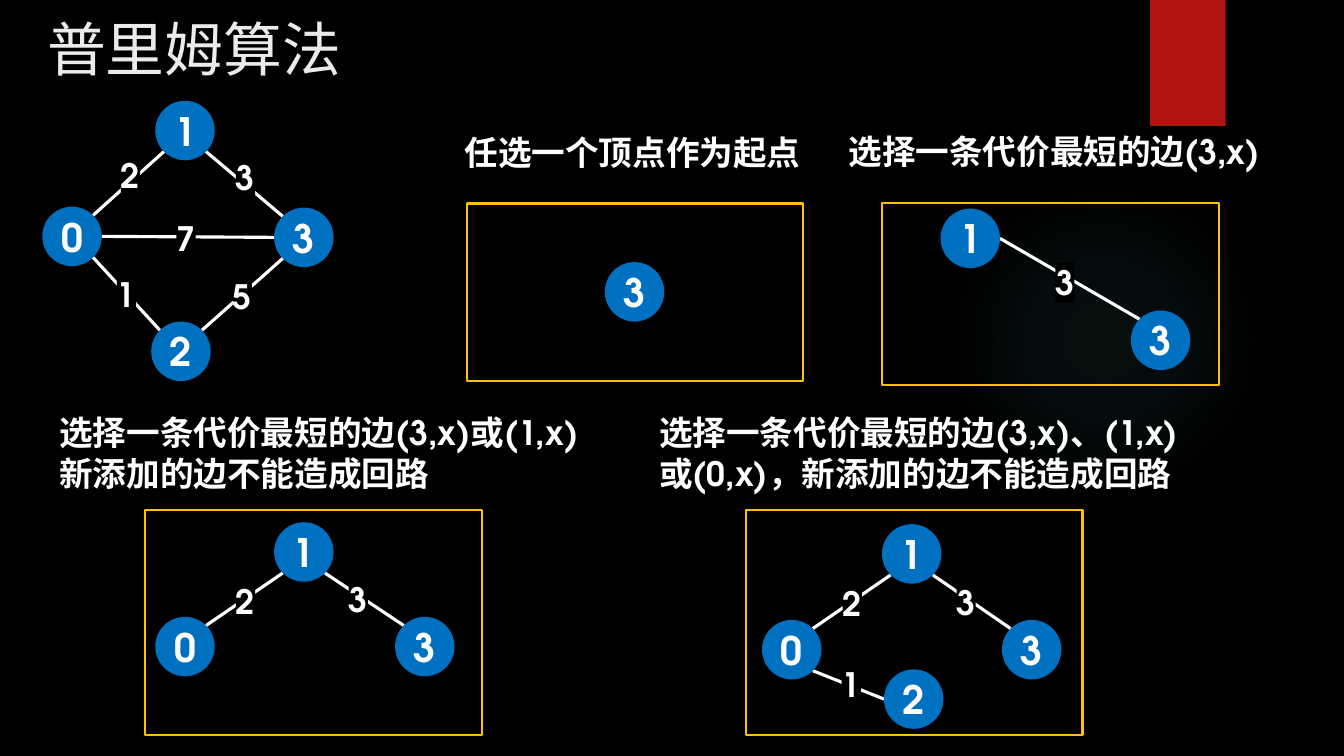
from dataclasses import dataclass
from enum import Enum

from lxml.etree import SubElement
from pptx import Presentation
from pptx.dml.color import RGBColor
from pptx.enum.shapes import MSO_CONNECTOR as Line, MSO_SHAPE as Preset
from pptx.enum.text import MSO_ANCHOR as Anchor, MSO_AUTO_SIZE as Fit, PP_ALIGN as Align
from pptx.oxml import parse_xml
from pptx.oxml.ns import nsdecls, qn
from pptx.shapes.autoshape import Shape
from pptx.slide import Slide
from pptx.util import Pt

BLACK = RGBColor(0x00, 0x00, 0x00)
WHITE = RGBColor(0xFF, 0xFF, 0xFF)
PALE = RGBColor(0xEB, 0xEB, 0xEB)
BLUE = RGBColor(0x00, 0x70, 0xC0)
GOLD = RGBColor(0xFF, 0xC0, 0x00)
RED = RGBColor(0xB0, 0x15, 0x13)
TEAL = RGBColor(0x50, 0xB9, 0xC1)

BODY_FONT = "TeX Gyre Adventor"
TITLE_FONT = "Times New Roman"
NODE_SIZE = 42.5
LABEL_SIZE = (13.7, 28.8)
FRAME_WIDTH = 240.5
DIAGONAL = 0.5 ** 0.5

Box = tuple[float, float, float, float]
Point = tuple[float, float]


class Site(Enum):
    """Place on a node's rim, as a step from its centre in radii."""
    LEFT = (-1, 0)
    RIGHT = (1, 0)
    TOP_LEFT = (-DIAGONAL, -DIAGONAL)
    TOP_RIGHT = (DIAGONAL, -DIAGONAL)
    BOTTOM_LEFT = (-DIAGONAL, DIAGONAL)
    BOTTOM_RIGHT = (DIAGONAL, DIAGONAL)


@dataclass
class Edge:
    start: str
    start_site: Site
    end: str
    end_site: Site
    cost: str
    label_at: Point


@dataclass
class Step:
    nodes: dict[str, Point]
    edges: tuple[Edge, ...] = ()
    frame: Box | None = None
    caption: tuple[str, ...] = ()
    caption_box: Box | None = None


def down_left(start: str, end: str, cost: str, label_at: Point) -> Edge:
    return Edge(start, Site.BOTTOM_LEFT, end, Site.TOP_RIGHT, cost, label_at)


def down_right(start: str, end: str, cost: str, label_at: Point) -> Edge:
    return Edge(start, Site.BOTTOM_RIGHT, end, Site.TOP_LEFT, cost, label_at)


STEPS = (
    Step({"1": (110.9, 72), "2": (108, 229.7), "0": (30.2, 147.6), "3": (195.8, 148.3)},
         (down_right("1", "3", "3", (168.5, 112.3)),
          down_left("3", "2", "5", (166.3, 197.3)),
          down_right("0", "2", "1", (83.5, 195.8)),
          down_left("1", "0", "2", (86.4, 110.9)),
          Edge("0", Site.RIGHT, "3", Site.LEFT, "7", (126, 155.5)))),
    Step({"3": (432, 187.2)},
         frame=(333.4, 145.4, FRAME_WIDTH, 126.7),
         caption=("任选一个顶点作为起点",),
         caption_box=(324.7, 90.7, 257.8, 36)),
    Step({"3": (807.8, 221.8), "1": (671.8, 149)},
         (Edge("1", Site.RIGHT, "3", Site.TOP_LEFT, "3", (753.8, 187.2)),),
         (630, 144.7, FRAME_WIDTH, 130.3),
         ("选择一条代价最短的边(3,x)",),
         (599, 90, 322.6, 36)),
    Step({"3": (282.2, 440.6), "1": (195.8, 373), "0": (110.9, 440.6)},
         (down_right("1", "3", "3", (249.1, 413.3)),
          down_left("1", "0", "2", (168.5, 414.7))),
         (103.7, 364.3, FRAME_WIDTH, 160.6),
         ("选择一条代价最短的边(3,x)或(1,x)", "新添加的边不能造成回路"),
         (35.3, 290.9, 407.5, 65.5)),
    Step({"3": (715.7, 442.8), "1": (630, 374.4), "0": (544.3, 442.8), "2": (631.4, 478.1)},
         (down_right("1", "3", "3", (683.3, 415.4)),
          down_left("1", "0", "2", (601.9, 416.2)),
          Edge("0", Site.BOTTOM_RIGHT, "2", Site.LEFT, "1", (601.2, 474.5))),
         (532.8, 364.3, FRAME_WIDTH, 160.6),
         ("选择一条代价最短的边(3,x)、(1,x)或(0,x)，新添加的边不能造成回路",),
         (463.7, 290.9, 407.5, 65.5)),
)


def write(shape: Shape, lines: tuple[str, ...], size: float, frame_format: dict,
          align: Align = Align.LEFT, font: str = BODY_FONT,
          color: RGBColor = WHITE, bold: bool = True) -> None:
    frame = shape.text_frame
    for name, value in frame_format.items():
        setattr(frame, name, value)
    for index, line in enumerate(lines):
        para = frame.add_paragraph() if index else frame.paragraphs[0]
        para.alignment = align
        span = para.add_run()
        span.text = line
        for name, value in {"name": font, "size": Pt(size), "bold": bold}.items():
            setattr(span.font, name, value)
        span.font.color.rgb = color


def add_preset(page: Slide, preset: Preset, box: Box, fill: RGBColor | None,
               outline: RGBColor | None = None) -> Shape:
    shape = page.shapes.add_shape(preset, *map(Pt, box))
    shape.shadow.inherit = False
    if fill is None:
        shape.fill.background()
    else:
        shape.fill.solid()
        shape.fill.fore_color.rgb = fill
    if outline is None:
        shape.line.fill.background()
    else:
        shape.line.color.rgb = outline
        shape.line.width = Pt(1.5)
    return shape


def add_text(page: Slide, box: Box, lines: tuple[str, ...], size: float, **style) -> None:
    write(page.shapes.add_textbox(*map(Pt, box)), lines, size, {"word_wrap": True}, **style)


def rim_point(corner: Point, site: Site) -> Point:
    radius = NODE_SIZE / 2
    return tuple(start + radius * (1 + step) for start, step in zip(corner, site.value))


def add_edge(page: Slide, edge: Edge, nodes: dict[str, Point]) -> None:
    ends = (rim_point(nodes[edge.start], edge.start_site)
            + rim_point(nodes[edge.end], edge.end_site))
    line = page.shapes.add_connector(Line.STRAIGHT, *map(Pt, ends))
    line.line.color.rgb = WHITE
    line.line.width = Pt(2.25)
    SubElement(line._element.spPr, qn("a:effectLst"))
    label = add_preset(page, Preset.RECTANGLE, edge.label_at + LABEL_SIZE, BLACK)
    margins = dict.fromkeys(("margin_left", "margin_top", "margin_right", "margin_bottom"), 0)
    write(label, (edge.cost,), 24, margins | {
        "word_wrap": False, "auto_size": Fit.SHAPE_TO_FIT_TEXT, "vertical_anchor": Anchor.TOP})


def add_step(page: Slide, step: Step) -> None:
    if step.frame:
        add_preset(page, Preset.RECTANGLE, step.frame, None, GOLD)
        add_text(page, step.caption_box, step.caption, 24)
    for edge in step.edges:
        add_edge(page, edge, step.nodes)
    for name, corner in step.nodes.items():
        node = add_preset(page, Preset.OVAL, corner + (NODE_SIZE, NODE_SIZE), BLUE)
        write(node, (name,), 28,
              {"word_wrap": False, "vertical_anchor": Anchor.MIDDLE}, Align.CENTER)


def add_backdrop(page: Slide) -> None:
    """Draw the faint round glow and the red ribbon with its shadow."""
    page.background.fill.solid()
    page.background.fill.fore_color.rgb = BLACK
    glow = add_preset(page, Preset.OVAL, (677.5, 131.8, 221.8, 221.8), TEAL)
    stops = "".join(
        f'<a:gs pos="{place * 1000}"><a:srgbClr val="{TEAL}">'
        f'<a:alpha val="{alpha * 1000}"/></a:srgbClr></a:gs>'
        for place, alpha in ((0, 7), (36, 6), (69, 0), (100, 0)))
    solid = glow._element.spPr.find(qn("a:solidFill"))
    solid.getparent().replace(solid, parse_xml(
        f'<a:gradFill {nsdecls("a")}><a:gsLst>{stops}</a:gsLst><a:path path="circle">'
        '<a:fillToRect l="50000" t="50000" r="50000" b="50000"/></a:path></a:gradFill>'))
    ribbon = add_preset(page, Preset.RECTANGLE, (821.5, 0, 54, 90), RED)
    ribbon._element.spPr.find(qn("a:effectLst")).append(parse_xml(
        f'<a:outerShdw {nsdecls("a")} blurRad="{Pt(3)}" dist="{Pt(2)}" dir="5400000">'
        f'<a:srgbClr val="{BLACK}"><a:alpha val="45000"/></a:srgbClr></a:outerShdw>'))


def main() -> None:
    deck = Presentation()
    deck.slide_width, deck.slide_height = Pt(960), Pt(540)
    page = deck.slides.add_slide(deck.slide_layouts[6])
    add_backdrop(page)
    add_text(page, (26.6, 5.8, 740.9, 110.2), ("普里姆算法",), 42,
             font=TITLE_FONT, color=PALE, bold=False)
    for step in STEPS:
        add_step(page, step)
    deck.save("out.pptx")


if __name__ == "__main__":
    main()
